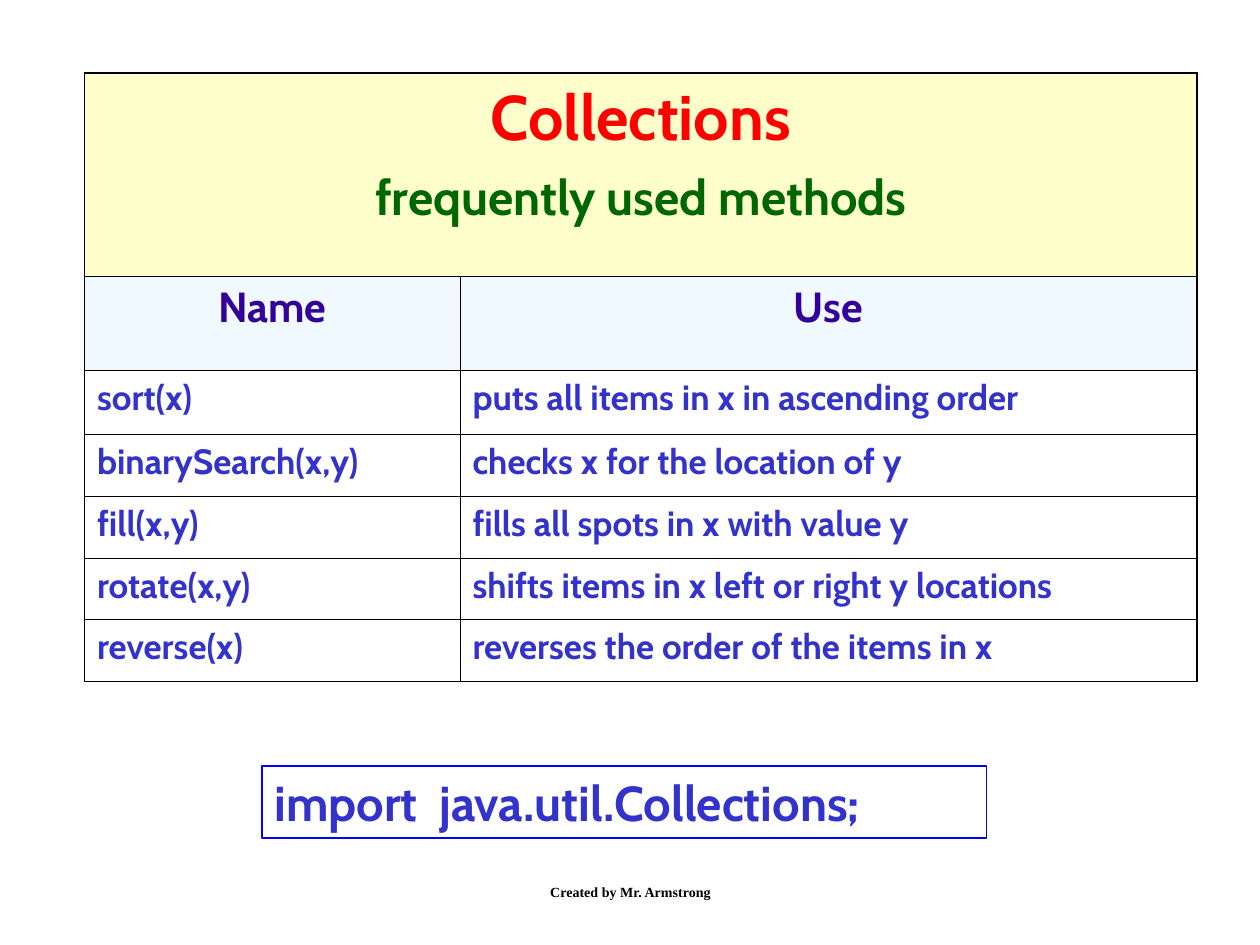
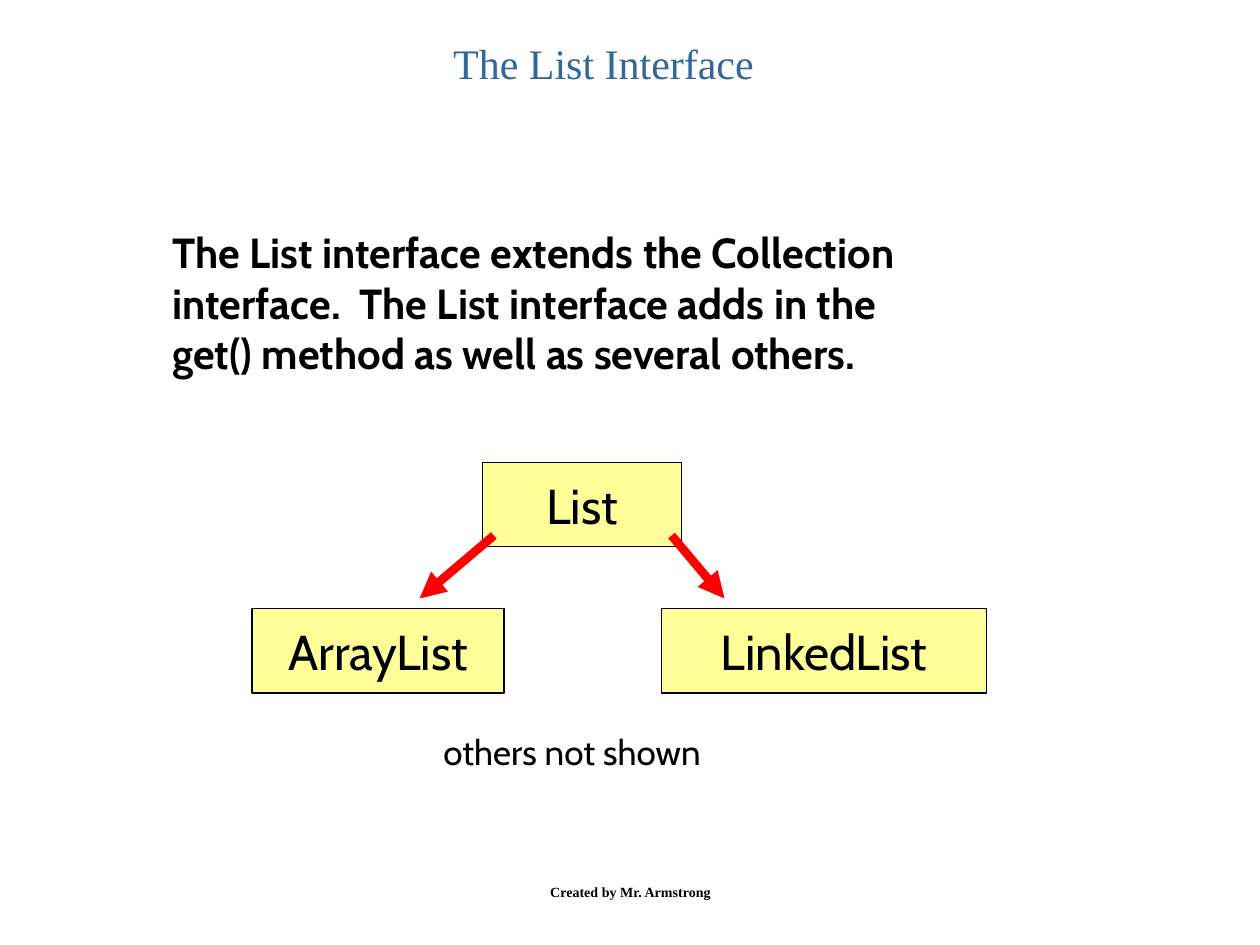
import pptx
import pptx.dml.color
import pptx.enum.shapes
import pptx.enum.text
import pptx.oxml.ns
import pptx.util
from lxml import etree
from pptx.util import Inches

HEADING_FONT = "Times New Roman"
BODY_FONT = "Cabin"
BLACK = "000000"
BLUE = "3333CC"
RED = "FF0000"
BOX_YELLOW = "FFFF99"
CENTER = pptx.enum.text.PP_ALIGN.CENTER
LEFT = pptx.enum.text.PP_ALIGN.LEFT
TOP = pptx.enum.text.MSO_ANCHOR.TOP
MIDDLE = pptx.enum.text.MSO_ANCHOR.MIDDLE
RECTANGLE = pptx.enum.shapes.MSO_SHAPE.RECTANGLE
STRAIGHT = pptx.enum.shapes.MSO_CONNECTOR.STRAIGHT
qn = pptx.oxml.ns.qn


def color(hex_string):
    return pptx.dml.color.RGBColor.from_string(hex_string)


def write(frame, text, size, font=BODY_FONT, ink=BLACK, bold=False,
          align=LEFT, before=0, anchor=TOP):
    frame.word_wrap = True
    frame.vertical_anchor = anchor
    for line in text.split("\n"):
        paragraph = frame.add_paragraph() if frame.text else frame.paragraphs[0]
        paragraph.alignment = align
        paragraph.space_before = pptx.util.Pt(before)
        run = paragraph.add_run()
        run.text = line
        run.font.size = pptx.util.Pt(size)
        run.font.name = font
        run.font.bold = bold
        run.font.color.rgb = color(ink)


presentation = pptx.Presentation()
presentation.slide_width = Inches(10)
presentation.slide_height = Inches(7.5)
blank_layout = presentation.slide_layouts[6]
methods_slide = presentation.slides.add_slide(blank_layout)
list_slide = presentation.slides.add_slide(blank_layout)

methods = [
    ("sort(x)", "puts all items in x in ascending order"),
    ("binarySearch(x,y)", "checks x for the location of y"),
    ("fill(x,y)", "fills all spots in x with value y"),
    ("rotate(x,y)", "shifts items in x left or right y locations"),
    ("reverse(x)", "reverses the order of the items in x"),
]
row_heights = [1.61, 0.75, 0.51] + [0.49] * 4
last_row = len(row_heights) - 1
table = methods_slide.shapes.add_table(
    len(row_heights), 2, Inches(0.67), Inches(0.58), Inches(8.83), Inches(4.83)).table
table.first_row = False
table.horz_banding = False
for column, width in zip(table.columns, (2.98, 5.85)):
    column.width = Inches(width)
for row, height in zip(table.rows, row_heights):
    row.height = Inches(height)
table.cell(0, 0).merge(table.cell(0, 1))

for row_index in range(len(row_heights)):
    for column_index in range(2):
        cell = table.cell(row_index, column_index)
        properties = cell._tc.get_or_add_tcPr()
        outer_edges = {
            "a:lnL": column_index == 0,
            "a:lnR": column_index == 1 or row_index == 0,
            "a:lnT": row_index == 0,
            "a:lnB": row_index == last_row,
        }
        for edge, is_outer in outer_edges.items():
            width = pptx.util.Pt(1.08 if is_outer else 0.45)
            border = etree.SubElement(properties, qn(edge), w=str(int(width)))
            fill = etree.SubElement(border, qn("a:solidFill"))
            etree.SubElement(fill, qn("a:srgbClr"), val=BLACK)
        if row_index > 1:
            cell.fill.background()
            write(cell.text_frame, methods[row_index - 2][column_index], 20,
                  ink=BLUE, bold=True, before=5)
        else:
            cell.fill.solid()
            cell.fill.fore_color.rgb = color(("FFFFCC", "E1F4FF")[row_index])
        if row_index == 1:
            tint = properties.find(qn("a:solidFill")).find(qn("a:srgbClr"))
            etree.SubElement(tint, qn("a:alpha"), val="50000")
            write(cell.text_frame, ("Name", "Use")[column_index], 24,
                  ink="330099", bold=True, align=CENTER, before=6)

heading = table.cell(0, 0).text_frame
write(heading, "Collections", 36, ink=RED, bold=True, align=CENTER, before=9)
write(heading, "frequently used methods", 28, ink="006600", bold=True,
      align=CENTER, before=7)

import_box = methods_slide.shapes.add_shape(
    RECTANGLE, Inches(2.08), Inches(6.08), Inches(5.75), Inches(0.57))
import_box.shadow.inherit = False
import_box.fill.background()
import_box.line.color.rgb = color("0000FF")
import_box.line.width = pptx.util.Pt(1)
write(import_box.text_frame, "import  java.util.Collections;", 28, ink=BLUE, bold=True)

explanation = ("The List interface extends the Collection\n"
               "interface.  The List interface adds in the\n"
               "get() method as well as several others.")
list_texts = [
    (1.27, 1.75, 6.9, 1.3, explanation, dict(size=24, bold=True)),
    (1.5, 0.25, 6.58, 0.67, "The List Interface",
     dict(size=24, font=HEADING_FONT, ink="336699", align=CENTER)),
    (3.42, 5.75, 2.49, 0.44, "others not shown", dict(size=20)),
]
for left, top, width, height, text, text_format in list_texts:
    text_box = list_slide.shapes.add_textbox(
        Inches(left), Inches(top), Inches(width), Inches(height))
    write(text_box.text_frame, text, **text_format)

for name, left, top, width in [("List", 3.83, 3.67, 1.58),
                               ("ArrayList", 2, 4.83, 2),
                               ("LinkedList", 5.25, 4.83, 2.58)]:
    type_box = list_slide.shapes.add_shape(
        RECTANGLE, Inches(left), Inches(top), Inches(width), Inches(0.67))
    type_box.shadow.inherit = False
    type_box.fill.solid()
    type_box.fill.fore_color.rgb = color(BOX_YELLOW)
    type_box.line.color.rgb = color(BLACK)
    type_box.line.width = pptx.util.Pt(0.75)
    write(type_box.text_frame, name, 28, align=CENTER, anchor=MIDDLE)

for start_x, end_x in [(3.92, 3.33), (5.33, 5.75)]:
    arrow = list_slide.shapes.add_connector(
        STRAIGHT, Inches(start_x), Inches(4.25), Inches(end_x), Inches(4.75))
    arrow.line.color.rgb = color(RED)
    arrow.line.width = pptx.util.Pt(5)
    etree.SubElement(arrow.line._get_or_add_ln(), qn("a:tailEnd"), type="triangle")
    etree.SubElement(arrow._element.spPr, qn("a:effectLst"))

for slide in presentation.slides:
    footer = slide.shapes.add_textbox(
        Inches(3.42), Inches(6.83), Inches(3.17), Inches(0.5))
    write(footer.text_frame, "Created by Mr. Armstrong", 8, font=HEADING_FONT,
          bold=True, align=CENTER, anchor=MIDDLE)

presentation.save("out.pptx")
